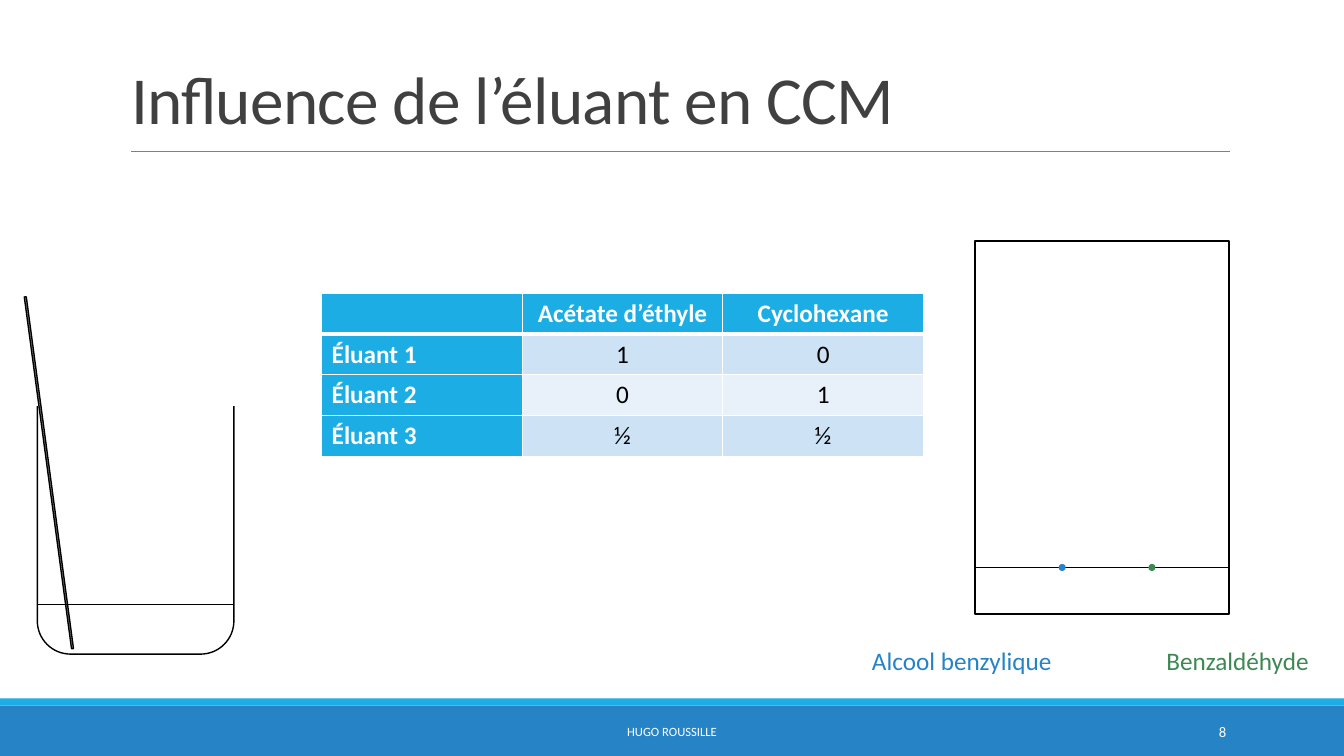
import math

from lxml import etree
from pptx import Presentation
from pptx.dml.color import RGBColor
from pptx.enum.shapes import MSO_CONNECTOR, MSO_SHAPE
from pptx.enum.text import MSO_ANCHOR, MSO_AUTO_SIZE, PP_ALIGN
from pptx.oxml.ns import qn
from pptx.util import Inches, Pt

LEFT, CENTER, RIGHT = PP_ALIGN.LEFT, PP_ALIGN.CENTER, PP_ALIGN.RIGHT
TOP, MIDDLE, BOTTOM = MSO_ANCHOR.TOP, MSO_ANCHOR.MIDDLE, MSO_ANCHOR.BOTTOM
RECT, OVAL, SLANTED = MSO_SHAPE.RECTANGLE, MSO_SHAPE.OVAL, MSO_SHAPE.PARALLELOGRAM
STRAIGHT = MSO_CONNECTOR.STRAIGHT
FONT = "Calibri"
COLORS = {
    "white": "FFFFFF", "black": "000000", "title": "404040", "rule": "808080",
    "blue": "2683C6", "cyan": "1CADE4", "green": "3E8853", "plate": "A6A6A6",
    "band_dark": "CDE3F5", "band_light": "E8F1FA",
}
ELUENTS = [
    ["", "Acétate d’éthyle", "Cyclohexane"],
    ["Éluant 1", "1", "0"],
    ["Éluant 2", "0", "1"],
    ["Éluant 3", "½", "½"],
]


def rgb(name):
    return RGBColor.from_string(COLORS[name])


def write(tf, text, size=18, color="black", bold=False, align=LEFT, anchor=TOP, wrap=True):
    tf.word_wrap = wrap
    tf.vertical_anchor = anchor
    p = tf.paragraphs[0]
    p.alignment = align
    r = p.add_run()
    r.text = text
    r.font.name, r.font.size, r.font.bold = FONT, Pt(size), bold
    r.font.color.rgb = rgb(color)
    return p


def add_text(shapes, box, text, **fmt):
    tb = shapes.add_textbox(*map(Inches, box))
    write(tb.text_frame, text, **fmt)


def style(sp, fill=None, line=None, width=1):
    sp.shadow.inherit = False
    if fill:
        sp.fill.solid()
        sp.fill.fore_color.rgb = rgb(fill)
    else:
        sp.fill.background()
    if line:
        sp.line.color.rgb = rgb(line)
        sp.line.width = Pt(width)
    else:
        sp.line.fill.background()


def add_shape(shapes, kind, box, **look):
    sp = shapes.add_shape(kind, *map(Inches, box))
    style(sp, **look)
    return sp


def add_rule(shapes, x, y, w, color="black", width=1):
    cx = shapes.add_connector(STRAIGHT, Inches(x), Inches(y), Inches(x + w), Inches(y))
    cx.line.color.rgb = rgb(color)
    cx.line.width = Pt(width)
    etree.SubElement(cx._element.spPr, qn("a:effectLst"))


def add_title(s, box, text):
    title = s.shapes.title
    title.left, title.top, title.width, title.height = map(Inches, box)
    tf = title.text_frame
    tf.auto_size = MSO_AUTO_SIZE.NONE
    p = write(tf, text, size=48, color="title", anchor=BOTTOM)
    p.line_spacing = 0.85
    p.runs[0].font._element.set("spc", "-50")
    x, y, w, h = box
    add_rule(s.shapes, x + 0.1, y + h + 0.08, w - 0.1, "rule", 0.5)


def add_footer(s, box, author, number):
    x, y, w, h = box
    add_shape(s.shapes, RECT, box, fill="blue")
    add_shape(s.shapes, RECT, (x, y - 0.07, w, 0.07), fill="cyan")
    add_text(s.shapes, (x + 4.03, y + 0.06, 5.27, 0.4), author,
             size=9, color="white", align=CENTER, anchor=MIDDLE)
    add_text(s.shapes, (x + 10.83, y + 0.06, 1.43, 0.4), number,
             size=10.5, color="white", align=RIGHT, anchor=MIDDLE)


def add_beaker(s, box, radius=0.33, steps=16):
    x, y, w, h = box
    shapes = s.shapes.add_group_shape().shapes
    # Open glass with two rounded bottom corners
    outline = []
    for cx, start in ((x + radius, 180), (x + w - radius, 90)):
        for i in range(steps + 1):
            a = math.radians(start - 90 * i / steps)
            outline.append((cx + radius * math.cos(a),
                            y + h - radius + radius * math.sin(a)))
    outline.append((x + w, y))
    fb = shapes.build_freeform(Inches(x), Inches(y))
    fb.add_line_segments([(Inches(px), Inches(py)) for px, py in outline], close=False)
    style(fb.convert_to_shape(), line="black")
    # Leaning plate
    plate = add_shape(shapes, SLANTED, (x + 0.07, y - 1.1, 0.09, 3.52),
                      fill="plate", line="black")
    plate.adjustments[0] = 0.779
    plate.rotation = 353.5
    plate._element.spPr.find(qn("a:xfrm")).set("flipH", "1")
    # Liquid level
    add_rule(shapes, x, y + 1.97, w)


def add_plate(s, box):
    x, y, w, h = box
    shapes = s.shapes.add_group_shape().shapes
    add_shape(shapes, RECT, box, fill="white", line="black", width=1.25)
    base = y + 3.24
    add_rule(shapes, x, base, w)
    # Deposits and their names
    dot = 0.07
    for dx, label_dx, label_w, name, color, wrap in (
            (0.83, -1.12, 2.01, "Alcool benzylique", "blue", True),
            (1.72, 1.8, 1.63, "Benzaldéhyde", "green", False)):
        add_shape(shapes, OVAL, (x + dx, base - dot / 2, dot, dot), fill=color)
        add_text(shapes, (x + label_dx, y + h + 0.26, label_w, 0.4), name,
                 color=color, wrap=wrap)


def set_borders(cell, bottom):
    tcPr = cell._tc.get_or_add_tcPr()
    for side, width in (("L", 1), ("R", 1), ("T", 1), ("B", bottom)):
        ln = etree.SubElement(tcPr, qn("a:ln" + side), w=str(Pt(width)))
        fill = etree.SubElement(ln, qn("a:solidFill"))
        etree.SubElement(fill, qn("a:srgbClr"), val=COLORS["white"])


def add_eluents(s, box, rows):
    table = s.shapes.add_table(len(rows), len(rows[0]), *map(Inches, box)).table
    for i, row in enumerate(rows):
        for j, text in enumerate(row):
            cell = table.cell(i, j)
            header = i == 0 or j == 0
            set_borders(cell, 3 if i == 0 else 1)
            cell.fill.solid()
            band = "band_dark" if i % 2 else "band_light"
            cell.fill.fore_color.rgb = rgb("cyan" if header else band)
            cell.vertical_anchor = TOP if header else MIDDLE
            if text:
                p = cell.text_frame.paragraphs[0]
                p.alignment = CENTER if j else LEFT
                r = p.add_run()
                r.text = text
                r.font.name, r.font.size, r.font.bold = FONT, Pt(18), header
                r.font.color.rgb = rgb("white" if header else "black")


def main():
    prs = Presentation()
    prs.slide_width, prs.slide_height = Inches(13.33), Inches(7.5)
    s = prs.slides.add_slide(prs.slide_layouts[5])
    add_footer(s, (0, 7, 13.33, 0.5), "HUGO ROUSSILLE", "8")
    add_title(s, (1.2, 0.31, 11, 1.11), "Influence de l’éluant en CCM")
    add_beaker(s, (0.37, 4.03, 1.95, 2.46))
    add_plate(s, (9.67, 2.39, 2.52, 3.7))
    add_eluents(s, (3.19, 2.91, 5.97, 1.62), ELUENTS)
    prs.save("out.pptx")


if __name__ == "__main__":
    main()
